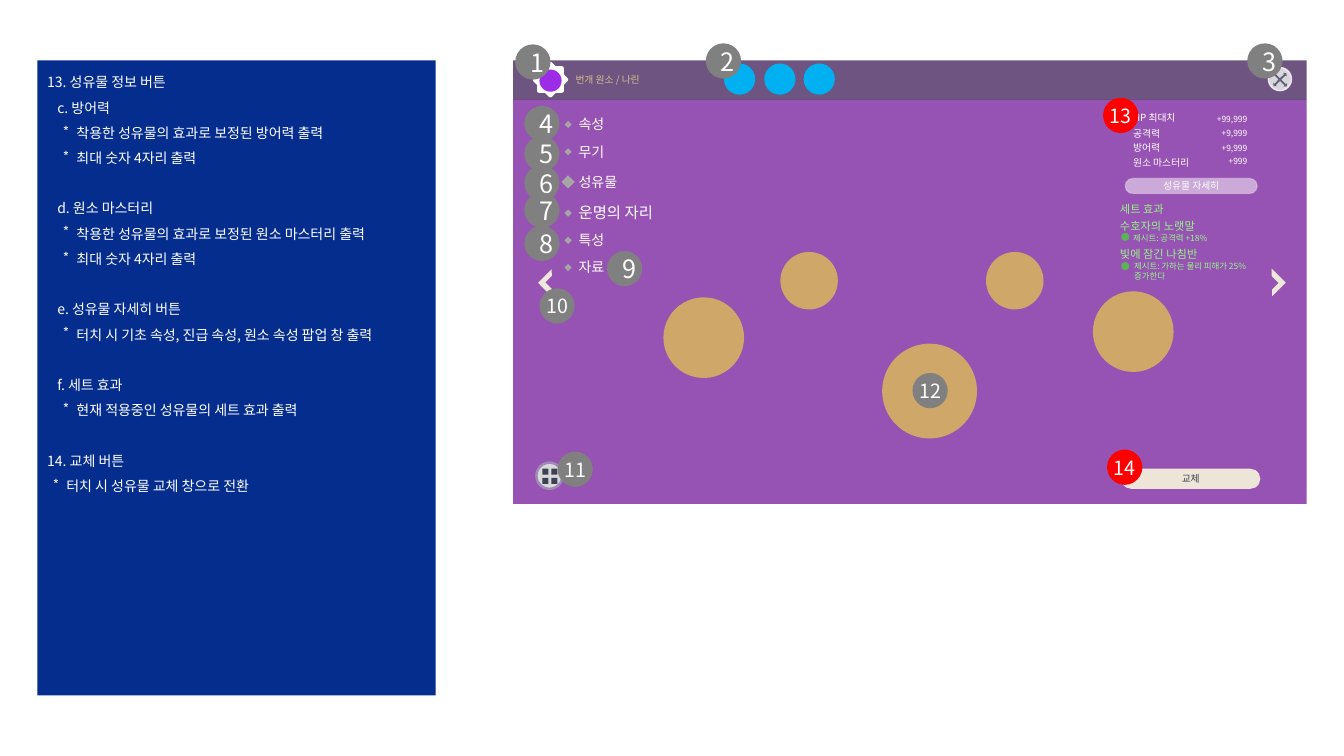
from lxml import etree
from pptx import Presentation
from pptx.dml.color import RGBColor
from pptx.enum.shapes import MSO_SHAPE
from pptx.enum.text import MSO_ANCHOR, MSO_AUTO_SIZE, PP_ALIGN
from pptx.oxml.ns import qn
from pptx.util import Emu, Pt

RECTANGLE = MSO_SHAPE.RECTANGLE
ROUNDED = MSO_SHAPE.ROUNDED_RECTANGLE
ELLIPSE = MSO_SHAPE.OVAL
DIAMOND = MSO_SHAPE.DIAMOND
HALF_FRAME = MSO_SHAPE.HALF_FRAME
QUAD_ARROW = MSO_SHAPE.QUAD_ARROW
LEFT, CENTER, RIGHT = PP_ALIGN.LEFT, PP_ALIGN.CENTER, PP_ALIGN.RIGHT
TOP, MIDDLE = MSO_ANCHOR.TOP, MSO_ANCHOR.MIDDLE
FIT_SHAPE = MSO_AUTO_SIZE.SHAPE_TO_FIT_TEXT

PX = 9144
SLIDE_SIZE = (1333, 750)

THEME = {
    "font": "Noto Sans CJK KR",
    "white": "FFFFFF", "notes": "052D8D", "screen": "9753B3", "header": "3E1B57",
    "cream": "ECE5D8", "chevron": "EEE8DA", "ink": "3B4254", "gold": "CFA869",
    "title": "D6BF8E", "effect": "96F588", "dot": "5CB256", "element": "9C2CE6",
    "resource": "00B0F0", "menu": "A6A6A6", "grid": "D9D9D9", "grid_line": "9F8AB6",
    "badge": "808080", "highlight": "FF0000",
    "tiny": 6, "small": 7, "label": 8, "body": 10, "large": 11, "pair": 14, "digit": 18,
}

INDENTS = {"number": (0, 0), "letter": (10, 0), "bullet": (29, -13), "outer bullet": (19, -13)}
NOTES = [
    [("number", "13. 성유물 정보 버튼"),
     ("letter", "c. 방어력"),
     ("bullet", "착용한 성유물의 효과로 보정된 방어력 출력"),
     ("bullet", "최대 숫자 4자리 출력")],
    [("letter", "d. 원소 마스터리"),
     ("bullet", "착용한 성유물의 효과로 보정된 원소 마스터리 출력"),
     ("bullet", "최대 숫자 4자리 출력")],
    [("letter", "e. 성유물 자세히 버튼"),
     ("bullet", "터치 시 기초 속성, 진급 속성, 원소 속성 팝업 창 출력")],
    [("letter", "f. 세트 효과"),
     ("bullet", "현재 적용중인 성유물의 세트 효과 출력")],
    [("number", "14. 교체 버튼"),
     ("outer bullet", "터치 시 성유물 교체 창으로 전환")],
]
CHARACTER = "번개 원소 / 나린"
STATS = [("HP 최대치", 106, "+99,999", 113), ("공격력", 122, "+9,999", 127),
         ("방어력", 136, "+9,999", 142), ("원소 마스터리", 151, "+999", 155)]
SET_TITLES = [("세트 효과", 196), ("수호자의 노랫말", 213), ("빛에 잠긴 나침반", 240)]
SET_EFFECTS = [(["제시트: 공격력 +18%"], 1114, 226, 20, 231),
               (["제시트: 가하는 물리 피해가 25%", "증가한다"], 1115, 254, 30, 260)]
MENU = [("속성", 110, 27, "body", 7), ("무기", 137, 27, "body", 7),
        ("성유물", 167, 27, "body", 13), ("운명의 자리", 197, 29, "large", 7),
        ("특성", 225, 27, "body", 7), ("자료", 252, 27, "body", 7)]
ARTIFACTS = [(875, 341, 94), (658, 295, 80), (774, 250, 57), (978, 250, 57), (1084, 289, 80)]
RESOURCES_LEFT = [718, 758, 797]
CHEVRONS = [(538, 271, 315.3), (1252, 270, 135)]
BADGES = [(511, 44), (700, 43), (1237, 43), (520, 105), (520, 135), (520, 164), (520, 191),
          (520, 224), (602, 249), (535, 286), (553, 448), (905, 370), (1094, 97), (1098, 446)]

presentation = Presentation()
presentation.slide_width, presentation.slide_height = (Emu(side * PX) for side in SLIDE_SIZE)
slide = presentation.slides.add_slide(presentation.slide_layouts[6])


def color(name):
    return RGBColor.from_string(THEME[name])


def set_alpha(fill, percent):
    node = fill._xPr.find(".//" + qn("a:srgbClr"))
    etree.SubElement(node, qn("a:alpha")).set("val", str(percent * 1000))


def add_shape(kind, box, fill=None, alpha=None, line=None, width=1, line_alpha=None,
              rotation=0, adjustments=(), parent=slide):
    shape = parent.shapes.add_shape(kind, *(Emu(side * PX) for side in box))
    shape.shadow.inherit = False
    shape.rotation = rotation
    for index, value in enumerate(adjustments):
        shape.adjustments[index] = value
    if fill:
        shape.fill.solid()
        shape.fill.fore_color.rgb = color(fill)
        if alpha:
            set_alpha(shape.fill, alpha)
    else:
        shape.fill.background()
    if line:
        shape.line.color.rgb = color(line)
        shape.line.width = Pt(width)
        if line_alpha:
            set_alpha(shape.line.fill, line_alpha)
    else:
        shape.line.fill.background()
    return shape


def write(shape, lines, size, ink="white", align=CENTER, anchor=MIDDLE, flush=False):
    frame = shape.text_frame
    frame.word_wrap = True
    frame.vertical_anchor = anchor
    if flush:
        frame.margin_left = frame.margin_top = frame.margin_right = frame.margin_bottom = 0
    for index, text in enumerate(lines):
        paragraph = frame.add_paragraph() if index else frame.paragraphs[0]
        paragraph.text = text
        paragraph.alignment = align
        paragraph.font.name = THEME["font"]
        paragraph.font.size = Pt(THEME[size])
        paragraph.font.color.rgb = color(ink)
    return frame


def add_label(box, lines, size, ink="white", align=LEFT, flush=False):
    shape = slide.shapes.add_textbox(*(Emu(side * PX) for side in box))
    write(shape, lines, size, ink, align, TOP, flush).auto_size = FIT_SHAPE


def draw_notes():
    panel = add_shape(RECTANGLE, (37, 60, 395, 630), "notes")
    entries = [(kind, text, section > 0 and row == 0)
               for section, rows in enumerate(NOTES) for row, (kind, text) in enumerate(rows)]
    frame = write(panel, [text for _, text, _ in entries], "body", align=LEFT, anchor=TOP)
    for paragraph, (kind, _, opens_section) in zip(frame.paragraphs, entries):
        paragraph.line_spacing = 1.5
        if opens_section:
            paragraph.space_before = Pt(18)
        margin, indent = INDENTS[kind]
        properties = paragraph._p.get_or_add_pPr()
        properties.set("marL", str(margin * PX))
        properties.set("indent", str(indent * PX))
        if indent:
            bullet = properties.makeelement(qn("a:buChar"), {"char": "*"})
            properties.find(qn("a:defRPr")).addprevious(bullet)


def draw_header():
    add_shape(RECTANGLE, (509, 60, 787, 39), "header", 75)
    add_shape(ELLIPSE, (1258, 67, 23, 23), "white", 75, "white", 1, 75)
    add_shape(QUAD_ARROW, (1260, 70, 19, 18), "ink", 78, rotation=45,
              adjustments=(0.1, 0.14, 0.12))
    emblem = slide.shapes.add_group_shape()
    for rotation in (0, 315):
        add_shape(RECTANGLE, (535, 68, 22, 22), line="white", width=3,
                  rotation=rotation, parent=emblem)
    add_shape(ELLIPSE, (535, 69, 22, 22), "element", parent=emblem)
    add_label((561, 68, 208, 22), [CHARACTER], "small", "title")
    for left in RESOURCES_LEFT:
        add_shape(ELLIPSE, (left, 63, 31, 31), "resource")


def draw_stats():
    for name, name_top, value, value_top in STATS:
        add_label((1114, name_top, 79, 22), [name], "small")
        add_label((1188, value_top, 49, 10), [value], "tiny", align=RIGHT, flush=True)
    details = add_shape(ROUNDED, (1116, 177, 131, 15), "white", 50, "white", 1, 25,
                        adjustments=(0.5,))
    write(details, ["성유물 자세히"], "small")
    for title, top in SET_TITLES:
        add_label((1101, top, 143, 24), [title], "label", "effect")
    for lines, left, top, height, dot_top in SET_EFFECTS:
        add_label((left, top, 143, height), lines, "tiny", "effect")
        add_shape(ELLIPSE, (1112, dot_top, 8, 8), "dot")


def draw_menu():
    for name, top, height, size, mark in MENU:
        add_shape(DIAMOND, (560 - (mark - 7) // 2, top + (height - mark) // 2, mark, mark), "menu")
        add_label((564, top, 98, height), [name], size)


def draw_controls():
    for left, top, diameter in ARTIFACTS:
        add_shape(ELLIPSE, (left, top, diameter, diameter), "gold")
    for left, top, rotation in CHEVRONS:
        add_shape(HALF_FRAME, (left, top, 19, 20), "chevron", rotation=rotation,
                  adjustments=(0.25, 0.28))
    add_shape(ELLIPSE, (532, 459, 26, 26), "grid", line="grid_line", width=1.75)
    tiles = slide.shapes.add_group_shape()
    for cell in range(4):
        row, column = divmod(cell, 2)
        add_shape(RECTANGLE, (538 + 9 * column, 465 + 9 * row, 6, 6), "ink", parent=tiles)
    replace = add_shape(ROUNDED, (1112, 465, 138, 20), "cream", adjustments=(0.5,))
    write(replace, ["교체"], "small", "ink")


def draw_badges():
    for number, (left, top) in enumerate(BADGES, 1):
        badge = add_shape(ELLIPSE, (left, top, 35, 35), "highlight" if number > 12 else "badge")
        write(badge, [str(number)], "pair" if number > 9 else "digit", flush=number > 9)


add_shape(RECTANGLE, (509, 99, 787, 401), "screen")
draw_header()
draw_stats()
draw_menu()
draw_controls()
draw_notes()
draw_badges()
presentation.save("out.pptx")
